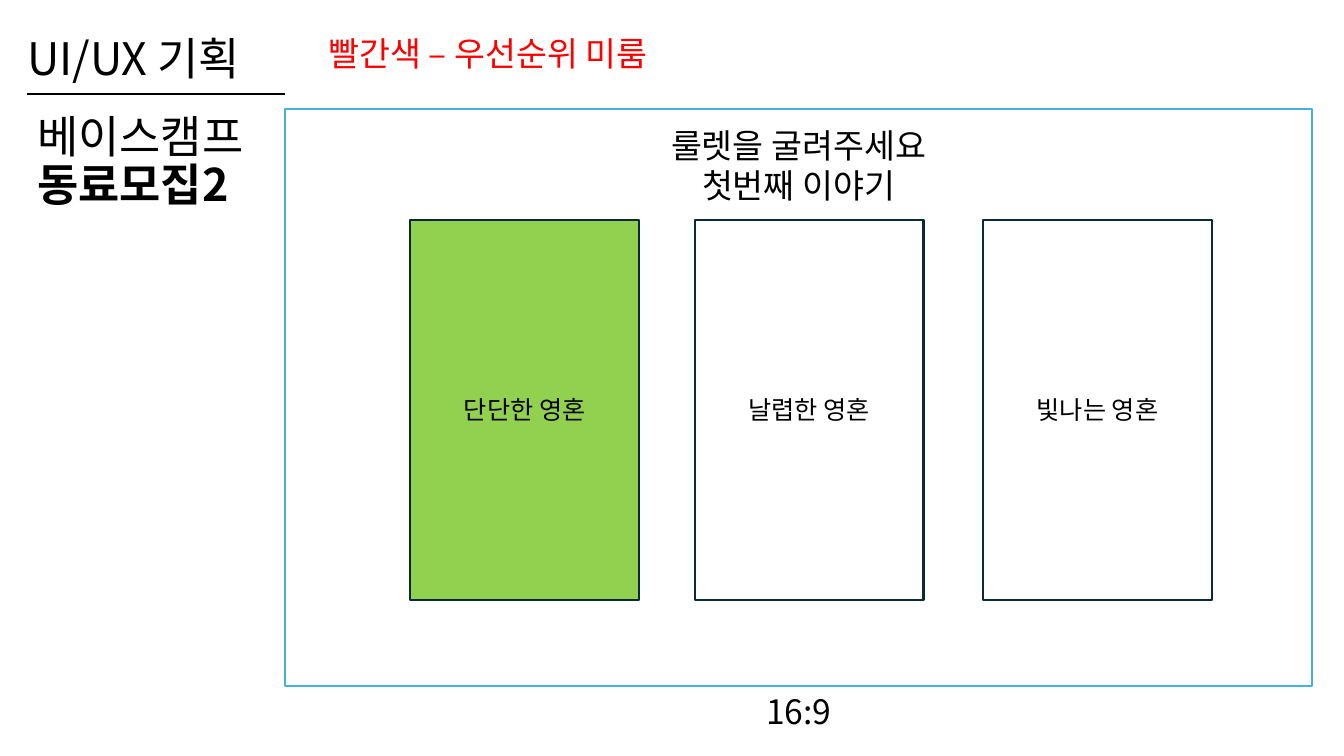
from lxml.etree import SubElement
from pptx import Presentation
from pptx.dml.color import RGBColor
from pptx.enum.shapes import MSO_CONNECTOR as Connector, MSO_SHAPE as Shape
from pptx.enum.text import MSO_ANCHOR as Anchor, PP_ALIGN as Align
from pptx.oxml.ns import qn
from pptx.util import Pt

EMU_PER_PX = 9144  # 100 px to the inch
FONT = "Noto Sans CJK KR"
COLORS = {
    "ink": "000000",
    "note": "FF0000",
    "frame": "46B1E1",
    "card_line": "092A39",
    "chosen": "92D050",
    "plain": "FFFFFF",
}


def px(*lengths):
    return [length * EMU_PER_PX for length in lengths]


def color(name):
    return RGBColor.from_string(COLORS[name])


def write(text_frame, text, size=24, ink="ink", align=Align.LEFT,
          anchor=Anchor.MIDDLE, spacing=None, bold_lines=()):
    """Fill a frame: newline parts paragraphs, vertical tab breaks a line."""
    text_frame.word_wrap = True
    text_frame.vertical_anchor = anchor
    for index, content in enumerate(text.split("\n")):
        paragraph = text_frame.add_paragraph() if index else text_frame.paragraphs[0]
        paragraph.alignment = align
        paragraph.line_spacing = spacing
        for number, line in enumerate(content.split("\v")):
            if number:
                paragraph.add_line_break()
            run = paragraph.add_run()
            run.text = line
            run.font.size = Pt(size)
            run.font.bold = number in bold_lines
            run.font.color.rgb = color(ink)
            run.font.name = FONT
            SubElement(run.font._element, qn("a:ea"), typeface=FONT)


class SlideBuilder:
    def __init__(self, slide, line_width=1.5):
        self.shapes = slide.shapes
        self.line_width = Pt(line_width)

    def label(self, box, text, **style):
        textbox = self.shapes.add_textbox(*px(*box))
        write(textbox.text_frame, text, **style)

    def rectangle(self, box, line, fill=None, text=None, **style):
        shape = self.shapes.add_shape(Shape.RECTANGLE, *px(*box))
        shape.shadow.inherit = False
        if fill:
            shape.fill.solid()
            shape.fill.fore_color.rgb = color(fill)
        else:
            shape.fill.background()
        shape.line.color.rgb = color(line)
        shape.line.width = self.line_width
        if text:
            write(shape.text_frame, text, **style)

    def rule(self, start, end, line):
        connector = self.shapes.add_connector(Connector.STRAIGHT, *px(*start, *end))
        connector.line.color.rgb = color(line)
        connector.line.width = self.line_width
        SubElement(connector._element.spPr, qn("a:effectLst"))


def main():
    presentation = Presentation()
    presentation.slide_width, presentation.slide_height = px(1333, 750)
    builder = SlideBuilder(presentation.slides.add_slide(presentation.slide_layouts[6]))

    # Heading and screen name
    builder.label((17, 13, 1150, 96), "UI/UX 기획", size=32, spacing=0.9)
    builder.rule((27, 93), (283, 93), "ink")
    builder.label((27, 93, 248, 137), "베이스캠프\v동료모집2", size=32,
                  spacing=0.9, bold_lines={1})

    # Screen frame with its ratio and prompt
    builder.rectangle((283, 108, 1018, 573), "frame")
    builder.label((750, 668, 125, 80), "16:9", spacing=0.9)
    builder.label((634, 119, 316, 91), "룰렛을 굴려주세요\n첫번째 이야기",
                  align=Align.CENTER, anchor=Anchor.TOP)

    # Choice cards
    cards = [
        (407, "chosen", "단단한 영혼"),
        (689, "plain", "날렵한 영혼"),
        (975, "plain", "빛나는 영혼"),
    ]
    for left, fill, name in cards:
        builder.rectangle((left, 218, 227, 377), "card_line", fill, name,
                          size=18, align=Align.CENTER)

    # Priority note
    builder.label((316, 15, 432, 80), "빨간색 – 우선순위 미룸", ink="note", spacing=0.9)

    presentation.save("out.pptx")


if __name__ == "__main__":
    main()
